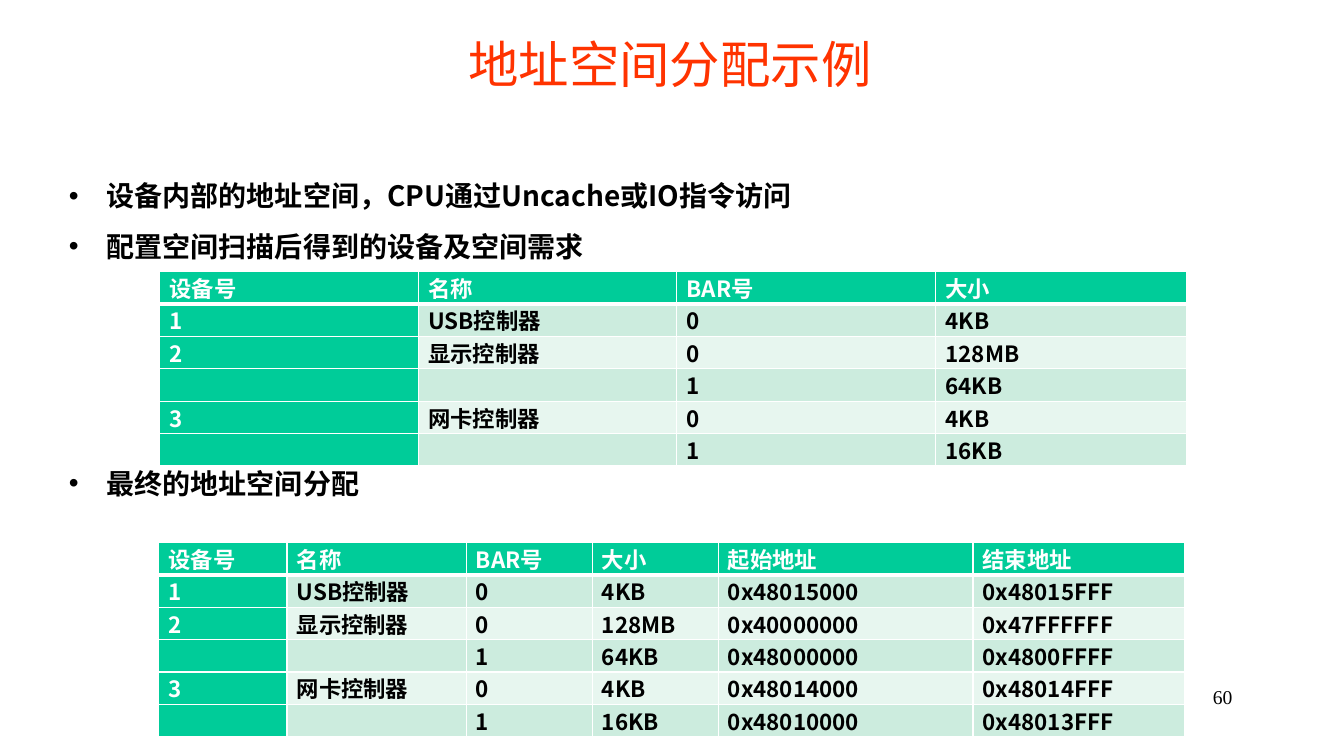
import pptx
import pptx.dml.color
import pptx.enum.text
import pptx.oxml.ns
import pptx.util
from lxml import etree

Pt = pptx.util.Pt
RGBColor = pptx.dml.color.RGBColor
Align = pptx.enum.text.PP_ALIGN
Anchor = pptx.enum.text.MSO_ANCHOR
qn = pptx.oxml.ns.qn

RED = RGBColor(0xFF, 0x33, 0x00)
BLACK = RGBColor(0x00, 0x00, 0x00)
WHITE = RGBColor(0xFF, 0xFF, 0xFF)
GREEN = RGBColor(0x00, 0xCC, 0x99)
BAND_DARK = RGBColor(0xCC, 0xEC, 0xDE)
BAND_LIGHT = RGBColor(0xE7, 0xF6, 0xEF)
SANS = "Noto Sans CJK SC"
SERIF = "Times New Roman"

BULLETS = [
    ("设备内部的地址空间，CPU通过Uncache或IO指令访问", 0),
    ("配置空间扫描后得到的设备及空间需求", 0),
    ("最终的地址空间分配", 133.5),
]
REQUIREMENTS = [
    ["设备号", "名称", "BAR号", "大小"],
    ["1", "USB控制器", "0", "4KB"],
    ["2", "显示控制器", "0", "128MB"],
    ["", "", "1", "64KB"],
    ["3", "网卡控制器", "0", "4KB"],
    ["", "", "1", "16KB"],
]
ADDRESSES = [
    ["起始地址", "结束地址"],
    ["0x48015000", "0x48015FFF"],
    ["0x40000000", "0x47FFFFFF"],
    ["0x48000000", "0x4800FFFF"],
    ["0x48014000", "0x48014FFF"],
    ["0x48010000", "0x48013FFF"],
]


def place(shape, left, top, width, height):
    shape.left, shape.top = Pt(left), Pt(top)
    shape.width, shape.height = Pt(width), Pt(height)


def style_font(font, name, size, color, bold=False):
    font.name = name
    font.size = Pt(size)
    font.color.rgb = color
    font.bold = bold


def add_run(paragraph, text, name, size, color, bold=False):
    run = paragraph.add_run()
    run.text = text
    style_font(run.font, name, size, color, bold)
    if name == SANS:
        etree.SubElement(run.font._element, qn("a:ea"), typeface=name)


def fill_title(title, text):
    place(title, 70.5, 0, 816, 90)
    title.text_frame.vertical_anchor = Anchor.MIDDLE
    paragraph = title.text_frame.paragraphs[0]
    paragraph.alignment = Align.CENTER
    add_run(paragraph, text, SERIF, 36, RED)


def fill_bullets(body, bullets):
    place(body, 42, 112, 867, 405)
    frame = body.text_frame
    frame.auto_size = pptx.enum.text.MSO_AUTO_SIZE.NONE
    frame.vertical_anchor = Anchor.TOP
    for index, (text, space_before) in enumerate(bullets):
        paragraph = frame.add_paragraph() if index else frame.paragraphs[0]
        paragraph.line_spacing = Pt(36)
        paragraph.space_before = Pt(space_before)
        properties = paragraph._p.get_or_add_pPr()
        properties.set("marL", str(Pt(27)))
        properties.set("indent", str(-Pt(27)))
        etree.SubElement(properties, qn("a:buFont"), typeface="Arial")
        etree.SubElement(properties, qn("a:buChar"), char="•")
        add_run(paragraph, text, SANS, 20, BLACK, True)


def add_border(cell, side, width):
    properties = cell._tc.get_or_add_tcPr()
    line = etree.SubElement(properties, qn(f"a:ln{side}"), w=str(Pt(width)))
    fill = etree.SubElement(line, qn("a:solidFill"))
    etree.SubElement(fill, qn("a:srgbClr"), val=str(WHITE))


def format_cell(cell, text, row, column):
    heading = row == 0 or column == 0
    cell.margin_left = cell.margin_right = Pt(7)
    cell.margin_top = cell.margin_bottom = Pt(0)
    for side, thick in (("L", False), ("R", False), ("T", row == 1), ("B", row == 0)):
        add_border(cell, side, 3 if thick else 1)
    cell.fill.solid()
    band = BAND_DARK if row % 2 else BAND_LIGHT
    cell.fill.fore_color.rgb = GREEN if heading else band
    paragraph = cell.text_frame.paragraphs[0]
    paragraph.alignment = Align.JUSTIFY
    if text:
        add_run(paragraph, text, SANS, 16, WHITE if heading else BLACK, True)
    else:
        paragraph.font.size = Pt(16)


def add_device_table(slide, left, top, widths, rows):
    row_height = 23.15
    frame = slide.shapes.add_table(
        len(rows), len(widths), Pt(left), Pt(top),
        Pt(sum(widths)), Pt(row_height * len(rows)))
    table = frame.table
    for column, width in zip(table.columns, widths):
        column.width = Pt(width)
    for row, values in enumerate(rows):
        table.rows[row].height = Pt(row_height)
        for column, text in enumerate(values):
            format_cell(table.cell(row, column), text, row, column)


def add_page_number(slide, text):
    box = slide.shapes.add_textbox(Pt(687.5), Pt(485.5), Pt(200), Pt(36))
    box.text_frame.word_wrap = True
    paragraph = box.text_frame.paragraphs[0]
    paragraph.alignment = Align.RIGHT
    add_run(paragraph, text, SERIF, 14, BLACK)


def main():
    presentation = pptx.Presentation()
    presentation.slide_width, presentation.slide_height = Pt(960), Pt(540)
    slide = presentation.slides.add_slide(presentation.slide_layouts[1])
    fill_title(slide.shapes.title, "地址空间分配示例")
    fill_bullets(slide.placeholders[1], BULLETS)
    add_device_table(slide, 114, 194, [185, 184.5, 185, 179], REQUIREMENTS)
    add_page_number(slide, "60")
    allocation = [need + span for need, span in zip(REQUIREMENTS, ADDRESSES)]
    add_device_table(slide, 113.5, 387.5, [91.5, 128, 90, 90, 182, 151.5], allocation)
    presentation.save("out.pptx")


if __name__ == "__main__":
    main()
